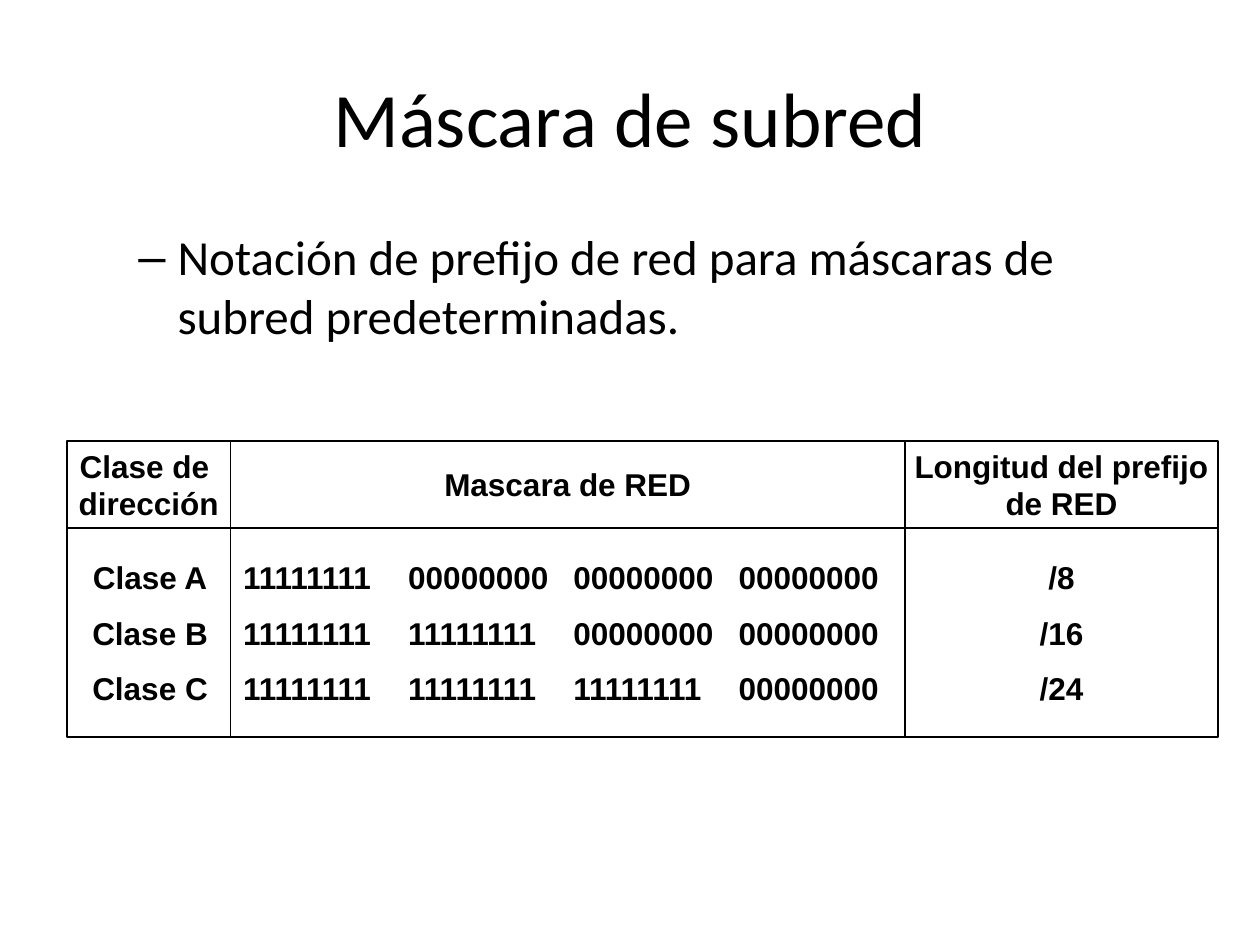
from pptx import Presentation
from pptx.dml.color import RGBColor
from pptx.enum.shapes import MSO_SHAPE
from pptx.enum.text import MSO_ANCHOR, PP_ALIGN
from pptx.oxml.ns import qn
from pptx.util import Cm, Pt
from lxml.etree import SubElement


def color(value):
    return RGBColor.from_string(value)


def add_text(paragraph, text, font_name, size, bold=False):
    run = paragraph.add_run()
    run.text = text
    run.font.name = font_name
    run.font.size = Pt(size)
    run.font.bold = bold
    run.font.color.rgb = color("000000")


presentation = Presentation()
presentation.slide_width = Cm(25.4)
presentation.slide_height = Cm(19.05)
slide = presentation.slides.add_slide(presentation.slide_layouts[6])

# Title
title = slide.shapes.add_textbox(Cm(1.27), Cm(0.76), Cm(22.86), Cm(3.18))
title.text_frame.word_wrap = True
title.text_frame.vertical_anchor = MSO_ANCHOR.MIDDLE
paragraph = title.text_frame.paragraphs[0]
paragraph.alignment = PP_ALIGN.CENTER
add_text(paragraph, "Máscara de subred", "Calibri", 44)

# Body with a dash bullet
body = slide.shapes.add_textbox(Cm(1.27), Cm(4.45), Cm(22.86), Cm(12.57))
body.text_frame.word_wrap = True
paragraph = body.text_frame.paragraphs[0]
paragraph.level = 1
properties = paragraph._p.get_or_add_pPr()
properties.set("marL", str(Cm(2.06)))
properties.set("indent", str(Cm(-0.79)))
SubElement(properties, qn("a:buFont")).set("typeface", "Arial")
SubElement(properties, qn("a:buChar")).set("char", "–")
add_text(paragraph, "Notación de prefijo de red para máscaras de subred predeterminadas.",
         "Calibri", 28)

# Grid of boxes: a header row above a row of values
header_top, header_height = 8.89, 1.75
values_top, values_height = header_top + header_height, 4.22
class_left, mask_left, prefix_left = 1.35, 4.65, 18.24
prefix_width = 6.32
tab_step = 3.33

ones, zeros = "1" * 8, "0" * 8
masks = ["\t".join([ones] * count + [zeros] * (4 - count)) for count in (1, 2, 3)]

# left, width, lines, is header, is centered
boxes = [
    (mask_left, prefix_left - mask_left, ["Mascara de RED"], True, True),
    (class_left, mask_left - class_left, ["Clase de ", "dirección"], True, True),
    (prefix_left, prefix_width, ["Longitud del prefijo", "de RED"], True, True),
    (class_left, 3.35, ["Clase A", "Clase B", "Clase C"], False, True),
    (mask_left, 13.84, masks, False, False),
    (prefix_left, prefix_width, ["/8", "/16", "/24"], False, True),
]

for left, width, lines, is_header, is_centered in boxes:
    top, height = (header_top, header_height) if is_header else (values_top, values_height)
    shape = slide.shapes.add_shape(MSO_SHAPE.RECTANGLE, Cm(left), Cm(top), Cm(width), Cm(height))
    shape.shadow.inherit = False
    shape.line.color.rgb = color("000000")
    shape.line.width = Pt(1)
    if is_header:
        shape.fill.background()
    else:
        shape.fill.solid()
        shape.fill.fore_color.rgb = color("FFFFFF")

    frame = shape.text_frame
    frame.word_wrap = False
    frame.vertical_anchor = MSO_ANCHOR.MIDDLE
    for index, line in enumerate(lines):
        paragraph = frame.add_paragraph() if index else frame.paragraphs[0]
        paragraph.alignment = PP_ALIGN.CENTER if is_centered else PP_ALIGN.LEFT
        if not is_header:
            paragraph.space_after = Pt(10)
        if not is_centered:
            tabs = SubElement(paragraph._p.get_or_add_pPr(), qn("a:tabLst"))
            for stop in (1, 2, 3):
                SubElement(tabs, qn("a:tab"), pos=str(Cm(stop * tab_step)), algn="l")
        add_text(paragraph, line, "Arial", 18, bold=True)

presentation.save("out.pptx")
